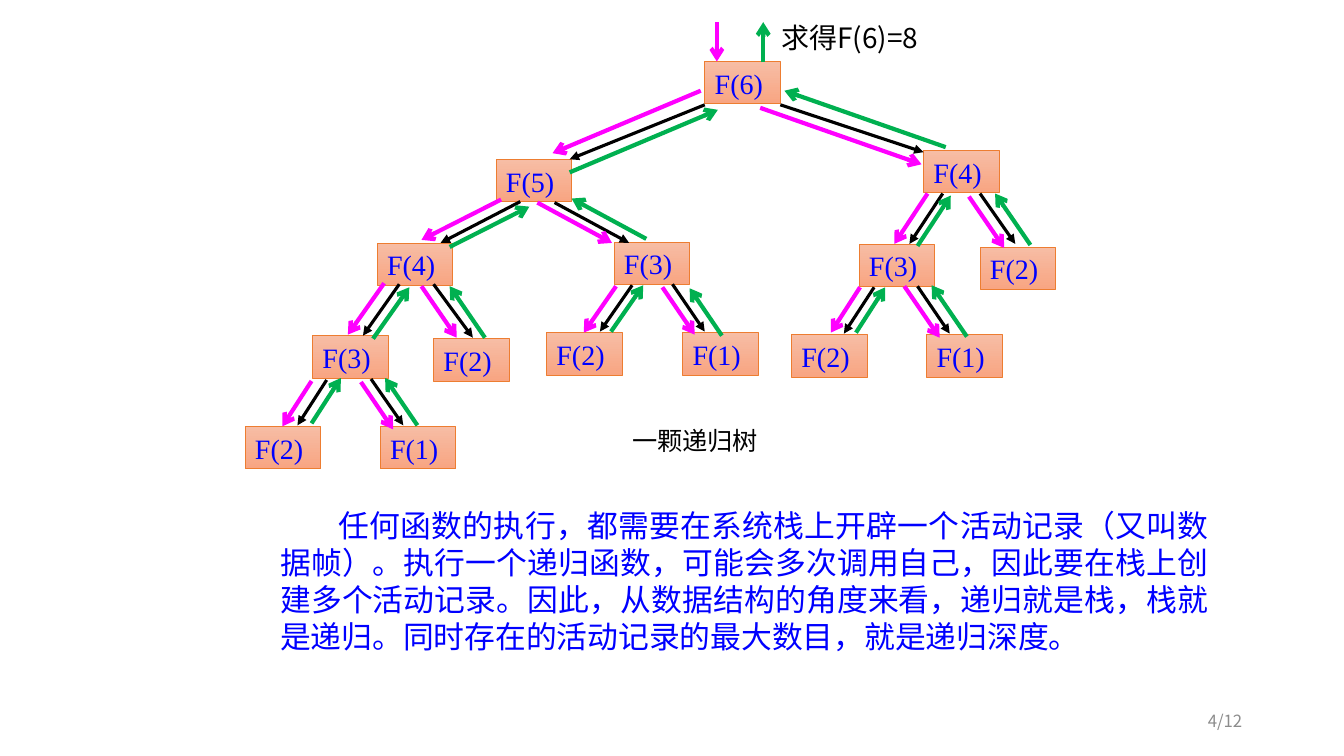
from lxml import etree
from pptx import Presentation
from pptx.dml.color import RGBColor
from pptx.enum.shapes import MSO_CONNECTOR as CONN, MSO_SHAPE as SHAPE
from pptx.enum.text import MSO_ANCHOR as ANCHOR, PP_ALIGN as ALIGN
from pptx.oxml.ns import qn
from pptx.util import Inches, Pt

CELL = Inches(0.1)
COLS, ROWS = 133.3, 75
NODE_W, NODE_H = 7.5, 4.2

BLACK = RGBColor(0x00, 0x00, 0x00)
BLUE = RGBColor(0x00, 0x00, 0xFF)
GRAY = RGBColor(0x8C, 0x8C, 0x8C)
MAGENTA = RGBColor(0xFF, 0x00, 0xFF)
GREEN = RGBColor(0x00, 0xB0, 0x50)
ORANGE = RGBColor(0xED, 0x7D, 0x31)
PEACH_TOP = RGBColor(0xF7, 0xBD, 0xA5)
PEACH_BOTTOM = RGBColor(0xF8, 0xA5, 0x82)

SANS, SERIF = "Noto Sans CJK SC", "Times New Roman"

# n, left column, top row
NODES = [
    (6, 69.9, 6.1),
    (5, 49.2, 15.8), (4, 91.6, 14.9),
    (4, 37.4, 24.1), (3, 60.9, 24.0), (3, 85.2, 24.2), (2, 97.2, 24.5),
    (3, 31.0, 33.3), (2, 43.0, 33.6), (2, 54.2, 33.0), (1, 67.7, 33.0),
    (2, 78.5, 33.2), (1, 91.9, 33.2),
    (2, 24.3, 42.3), (1, 37.7, 42.3),
]

# edge start, edge end, call start, return start, shared (columns, rows) span
CALLS = [
    ((69.9, 10.4), (56.5, 15.8), (69.5, 9.0), (71.2, 10.9), (-14.7, 6.2)),
    ((77.4, 10.4), (91.6, 15.1), (75.4, 10.7), (77.8, 9.0), (16.0, 5.6)),
    ((51.6, 20.0), (43.7, 24.1), (49.7, 19.8), (52.5, 20.5), (-7.9, 4.0)),
    ((55.0, 20.1), (62.4, 24.1), (53.3, 20.1), (56.7, 19.7), (7.4, 4.0)),
    ((93.5, 19.2), (90.2, 24.2), (92.0, 19.2), (94.3, 19.4), (-3.3, 5.0)),
    ((97.2, 19.2), (100.7, 24.2), (96.1, 19.5), (98.7, 19.2), (3.5, 5.1)),
    ((39.6, 28.2), (36.0, 33.3), (38.1, 28.1), (40.6, 28.5), (-3.6, 5.1)),
    ((43.0, 28.2), (46.9, 33.5), (41.8, 28.4), (44.6, 28.4), (3.5, 5.1)),
    ((62.7, 28.3), (59.5, 32.9), (61.1, 28.4), (63.8, 28.3), (-3.2, 4.6)),
    ((66.7, 28.2), (69.9, 32.9), (65.7, 28.5), (68.4, 28.6), (3.2, 4.7)),
    ((86.7, 28.5), (83.7, 33.1), (85.3, 28.5), (87.8, 28.5), (-2.9, 4.5)),
    ((91.0, 28.4), (94.2, 33.1), (89.7, 28.4), (92.4, 28.3), (3.5, 5.1)),
    ((32.4, 37.7), (29.5, 42.2), (30.9, 37.8), (33.8, 37.5), (-2.9, 4.5)),
    ((36.8, 37.6), (40.0, 42.2), (35.8, 37.9), (38.2, 37.5), (3.2, 4.7)),
]

EXPLANATION = (
    "任何函数的执行，都需要在系统栈上开辟一个活动记录（又叫数据帧）。"
    "执行一个递归函数，可能会多次调用自己，因此要在栈上创建多个活动记录。"
    "因此，从数据结构的角度来看，递归就是栈，栈就是递归。"
    "同时存在的活动记录的最大数目，就是递归深度。"
)


def grid(*cells):
    return [round(c * CELL) for c in cells]


def write(tf, text, font, size, color, align=ALIGN.LEFT):
    tf.word_wrap = True
    p = tf.paragraphs[0]
    p.text = text
    p.alignment = align
    r = p.runs[0]
    r.font.name = font
    r.font.size = Pt(size)
    r.font.color.rgb = color
    etree.SubElement(r._r.get_or_add_rPr(), qn("a:ea")).set("typeface", font)
    return p


def add_text(slide, box, text, size, color, align=ALIGN.LEFT, anchor=ANCHOR.TOP):
    tf = slide.shapes.add_textbox(*grid(*box)).text_frame
    tf.vertical_anchor = anchor
    p = write(tf, text, SANS, size, color, align)
    p.line_spacing = Pt(round(size * 1.21, 1))
    return p


def add_node(slide, n, col, row):
    sp = slide.shapes.add_shape(SHAPE.RECTANGLE, *grid(col, row, NODE_W, NODE_H))
    sp.shadow.inherit = False
    sp.fill.gradient()
    sp.fill.gradient_angle = 270
    for stop, color in zip(sp.fill.gradient_stops, (PEACH_TOP, PEACH_BOTTOM)):
        stop.color.rgb = color
    sp.line.color.rgb = ORANGE
    sp.line.width = Pt(0.5)
    sp.text_frame.vertical_anchor = ANCHOR.TOP
    write(sp.text_frame, f"F({n})", SERIF, 20, BLUE)


def add_arrow(slide, start, end, color, width=3, tip="arrow"):
    line = slide.shapes.add_connector(CONN.STRAIGHT, *grid(*start, *end))
    line.line.color.rgb = color
    line.line.width = Pt(width)
    ln = line.line._get_or_add_ln()
    etree.SubElement(ln, qn("a:tailEnd")).set("type", tip)
    etree.SubElement(line._element.spPr, qn("a:effectLst"))


def add_call(slide, edge_start, edge_end, call, back, span):
    def across(start):
        return start[0] + span[0], start[1] + span[1]

    add_arrow(slide, edge_start, edge_end, BLACK, 2.25, "triangle")
    add_arrow(slide, call, across(call), MAGENTA)
    add_arrow(slide, across(back), back, GREEN)


def main():
    prs = Presentation()
    prs.slide_width, prs.slide_height = grid(COLS, ROWS)
    slide = prs.slides.add_slide(prs.slide_layouts[6])

    add_text(slide, (94.2, 69.5, 30, 4), "4/12", 12, GRAY, ALIGN.RIGHT, ANCHOR.MIDDLE)
    p = add_text(slide, (26.8, 49.7, 94.1, 15.8), EXPLANATION, 22, BLUE, ALIGN.JUSTIFY)
    p._p.get_or_add_pPr().set("indent", str(Inches(0.58)))

    for node in NODES:
        add_node(slide, *node)
    for call in CALLS:
        add_call(slide, *call)
    add_arrow(slide, (71.1, 2.2), (71.1, 6.1), MAGENTA)
    add_arrow(slide, (75.7, 6.2), (75.7, 2.2), GREEN)

    add_text(slide, (76.5, 1.5, 20.9, 4.4), "求得F(6)=8", 20, BLACK)
    add_text(slide, (61.7, 41.7, 24.2, 5), "一颗递归树", 18, BLACK)
    prs.save("out.pptx")


if __name__ == "__main__":
    main()
